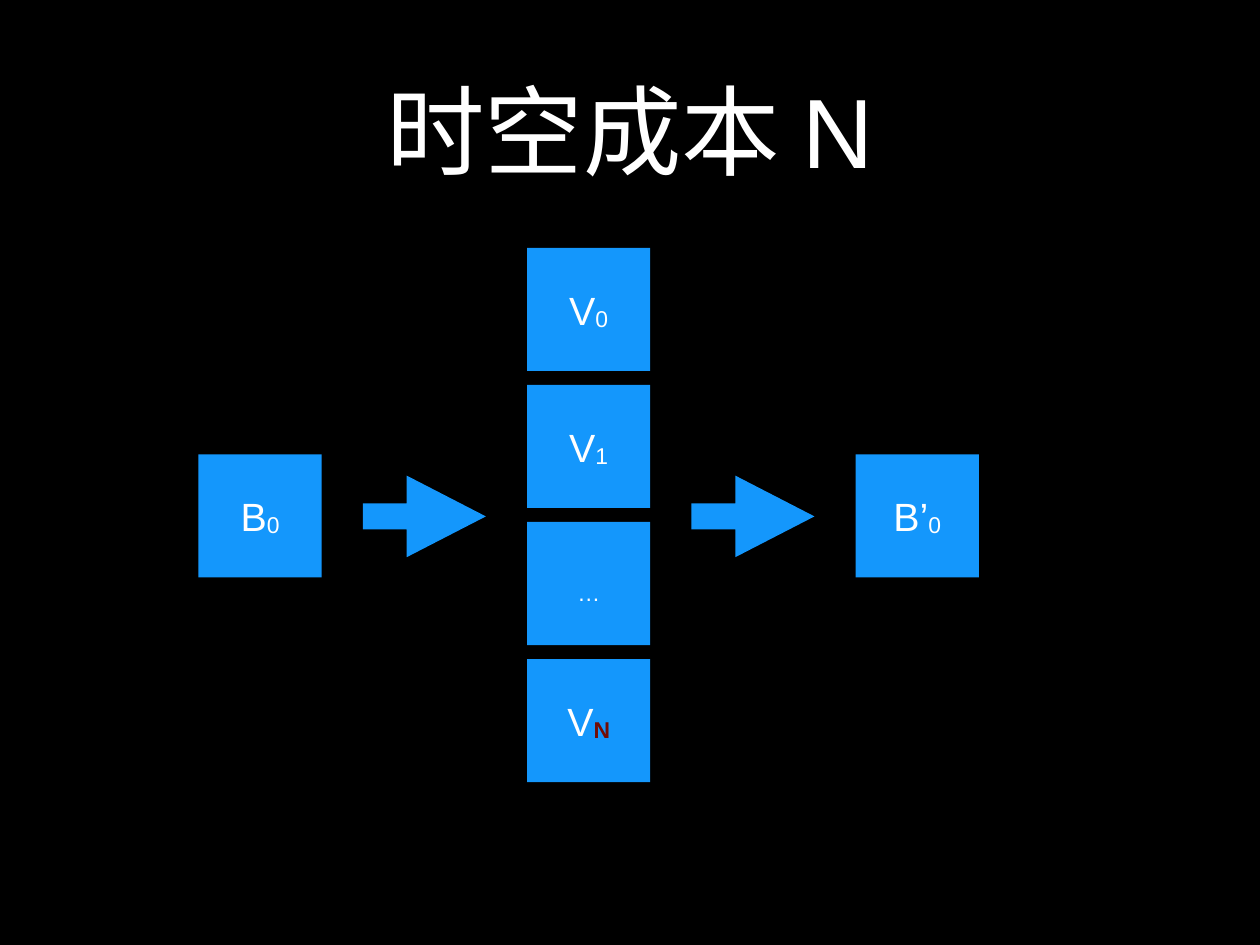
import pptx
import pptx.dml.color
import pptx.enum.shapes
import pptx.enum.text
import pptx.util
from pptx.util import Cm

COLORS = {"background": "000000", "block": "1497FC", "text": "FFFFFF", "accent": "720C04"}
FONT = "Arial"

# Layout: five equally spaced columns, with four stacked blocks in the middle one
BLOCK = 3.53
LEFT, COLUMN_STEP = 5.69, 4.71
STACK_TOP, ROW_STEP = 7.11, 3.93
SIDE_TOP = 13.03
ARROW_TOP, ARROW_HEIGHT = 13.64, 2.34


def rgb(name):
    return pptx.dml.color.RGBColor.from_string(COLORS[name])


def column_left(column):
    return LEFT + column * COLUMN_STEP


def center_text(frame):
    frame.margin_left = frame.margin_right = frame.margin_top = frame.margin_bottom = 0
    frame.word_wrap = True
    frame.auto_size = pptx.enum.text.MSO_AUTO_SIZE.NONE
    frame.vertical_anchor = pptx.enum.text.MSO_ANCHOR.MIDDLE
    frame.paragraphs[0].alignment = pptx.enum.text.PP_ALIGN.CENTER


def format_span(span, size, color="text"):
    span.font.name = FONT
    span.font.size = pptx.util.Pt(size)
    span.font.color.rgb = rgb(color)


def set_title(page, text):
    title = page.shapes.title
    title.left, title.top, title.width, title.height = Cm(2.64), Cm(0.71), Cm(30.84), Cm(5.99)
    title.text_frame.text = text
    center_text(title.text_frame)
    format_span(title.text_frame.paragraphs[0].runs[0], 80)


def add_filled(page, kind, column, top, height):
    shape = page.shapes.add_shape(
        kind, Cm(column_left(column)), Cm(top), Cm(BLOCK), Cm(height))
    shape.shadow.inherit = False
    shape.fill.solid()
    shape.fill.fore_color.rgb = rgb("block")
    shape.line.fill.background()
    return shape


def add_block(page, column, top, letter, index, accent=False):
    box = add_filled(page, pptx.enum.shapes.MSO_SHAPE.RECTANGLE, column, top, BLOCK)
    center_text(box.text_frame)
    para = box.text_frame.paragraphs[0]
    if letter:
        span = para.add_run()
        span.text = letter
        format_span(span, 32)
    subscript = para.add_run()
    subscript.text = index
    format_span(subscript, 32, "accent" if accent else "text")
    if accent:
        subscript.font.bold = True
    subscript._r.get_or_add_rPr().set("baseline", "-6000")


def add_arrow(page, column):
    arrow = add_filled(page, pptx.enum.shapes.MSO_SHAPE.RIGHT_ARROW,
                       column, ARROW_TOP, ARROW_HEIGHT)
    arrow.adjustments[0] = 0.32
    arrow.adjustments[1] = 0.97


def main():
    deck = pptx.Presentation()
    deck.slide_width, deck.slide_height = Cm(36.12), Cm(27.1)
    page = deck.slides.add_slide(deck.slide_layouts[5])
    page.background.fill.solid()
    page.background.fill.fore_color.rgb = rgb("background")
    set_title(page, "时空成本 N")

    # Input and output blocks
    add_block(page, 0, SIDE_TOP, "B", "0")
    add_block(page, 4, SIDE_TOP, "B’", "0")

    # Arrows into and out of the stack
    for column in (1, 3):
        add_arrow(page, column)

    # Stack of versions
    stack = [("V", "0"), ("V", "1"), ("", "…"), ("V", "N")]
    for row, (letter, index) in enumerate(stack):
        add_block(page, 2, STACK_TOP + row * ROW_STEP, letter, index, accent=index == "N")

    deck.save("out.pptx")


if __name__ == "__main__":
    main()
